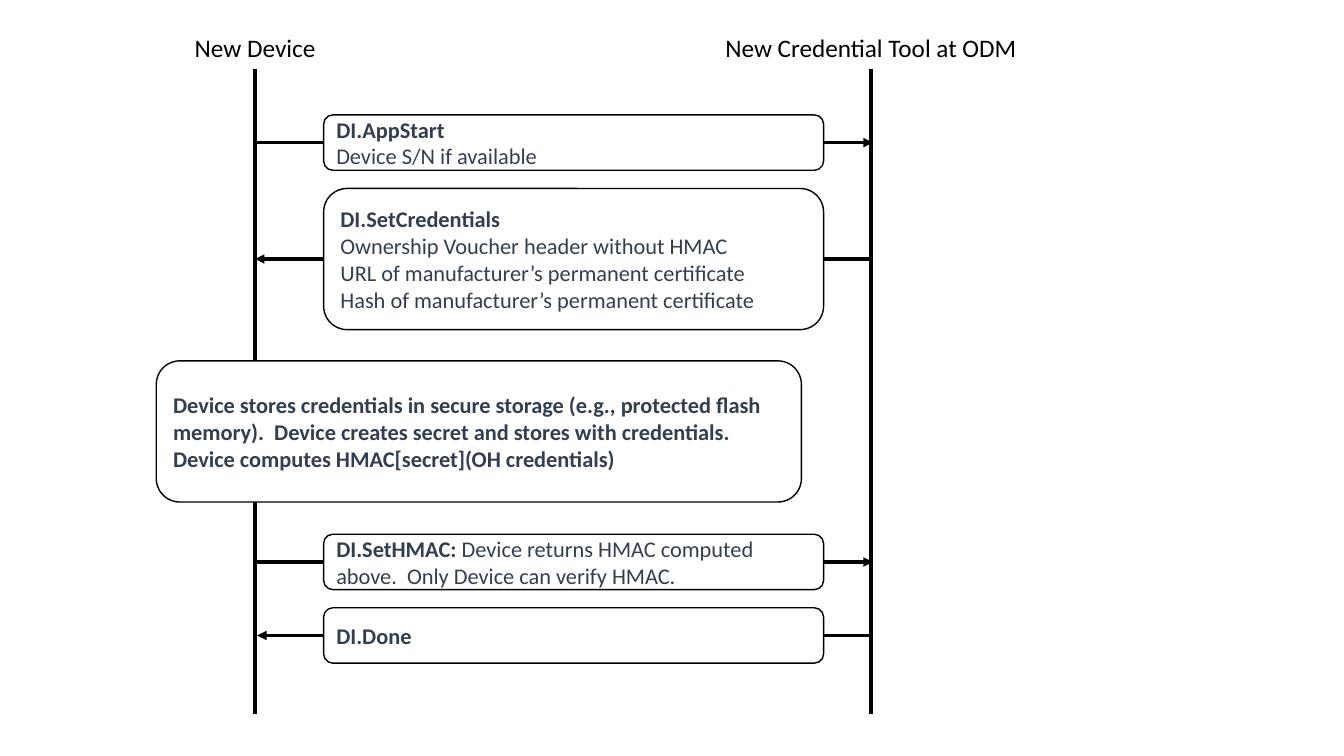
from pptx import Presentation
from pptx.dml.color import RGBColor
from pptx.enum.shapes import MSO_CONNECTOR as CONN, MSO_SHAPE as SHAPE
from pptx.enum.text import MSO_ANCHOR as ANCHOR, PP_ALIGN as ALIGN
from pptx.oxml.ns import qn
from pptx.util import Inches, Pt
from lxml.etree import SubElement

BLACK = RGBColor(0, 0, 0)
WHITE = RGBColor(255, 255, 255)
SLATE = RGBColor(0x33, 0x3F, 0x50)

prs = Presentation()
prs.slide_width, prs.slide_height = Inches(13.33), Inches(7.5)
s = prs.slides.add_slide(prs.slide_layouts[6])
col, row = prs.slide_width / 100, prs.slide_height / 100

DEVICE, TOOL = 18.98, 64.8
BOX_LEFT, BOX_WIDTH = 24.08, 37.2
SHORT, TALL = 7.33, 18.67


def add_line(x1, y1, x2, y2, weight, arrow=False):
    c = s.shapes.add_connector(CONN.STRAIGHT, int(x1 * col), int(y1 * row),
                               int(x2 * col), int(y2 * row))
    c.line.color.rgb = BLACK
    c.line.width = Pt(weight)
    if arrow:
        SubElement(c.line._get_or_add_ln(), qn("a:tailEnd"), type="triangle")
    SubElement(c._element.spPr, qn("a:effectLst"))


def add_box(x, y, w, h, paragraphs):
    sp = s.shapes.add_shape(SHAPE.ROUNDED_RECTANGLE, int(x * col), int(y * row),
                            int(w * col), int(h * row))
    sp.shadow.inherit = False
    sp.fill.solid()
    sp.fill.fore_color.rgb = WHITE
    sp.line.color.rgb = BLACK
    sp.line.width = Pt(1)
    tf = sp.text_frame
    tf.word_wrap = True
    tf.vertical_anchor = ANCHOR.MIDDLE
    for i, runs in enumerate(paragraphs):
        p = tf.add_paragraph() if i else tf.paragraphs[0]
        p.alignment = ALIGN.LEFT
        p.font.name, p.font.size, p.font.color.rgb = "Calibri", Pt(16), SLATE
        for text, bold in runs:
            r = p.add_run()
            r.text = text
            r.font.bold = bold


for x, width, name in [(DEVICE, 15.75, "New Device"),
                       (TOOL, 35.18, "New Credential Tool at ODM")]:
    add_line(x, 9.07, x, 94.4, 3)
    tb = s.shapes.add_textbox(int((x - width / 2) * col), int(3.6 * row),
                              int(width * col), int(5.33 * row))
    tf = tb.text_frame
    tf.word_wrap = True
    p = tf.paragraphs[0]
    p.text = name
    p.alignment = ALIGN.CENTER
    p.font.name, p.font.size, p.font.color.rgb = "Calibri", Pt(18), BLACK

messages = [
    (15.2, SHORT, 0.15, True, [[("DI.AppStart", True)],
                               [("Device S/N if available", False)]]),
    (24.93, TALL, 0, False, [[("DI.SetCredentials", True)],
                             [("Ownership Voucher header without HMAC", False)],
                             [("URL of manufacturer’s permanent certificate", False)],
                             [("Hash of manufacturer’s permanent certificate", False)]]),
    (70.67, SHORT, 0.15, True, [[("DI.SetHMAC: ", True),
                                 ("Device returns HMAC computed above.  "
                                  "Only Device can verify HMAC.", False)]]),
    (80.4, SHORT, 0.15, False, [[("DI.Done", True)]]),
]
for top, height, shift, to_tool, paragraphs in messages:
    start, end = (DEVICE, TOOL) if to_tool else (TOOL, DEVICE)
    middle = top + height / 2
    add_line(start + shift, middle, end + shift, middle, 2.25, arrow=True)
    add_box(BOX_LEFT, top, BOX_WIDTH, height, paragraphs)

add_box(11.63, 47.73, 48, TALL, [[(
    "Device stores credentials in secure storage (e.g., protected flash memory).  "
    "Device creates secret and stores with credentials.  "
    "Device computes HMAC[secret](OH credentials)", True)]])

prs.save("out.pptx")
